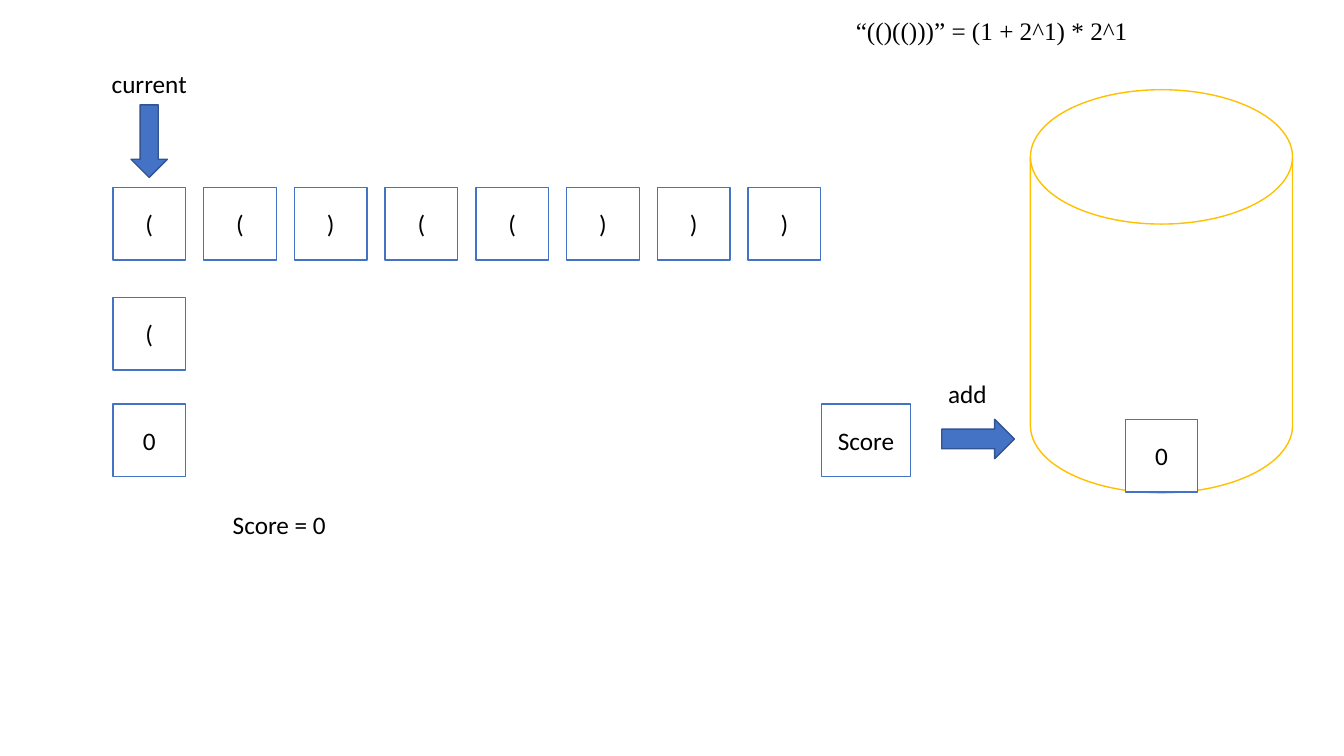
"""Build a slide showing a parentheses score computed with a stack."""
import pptx
import pptx.util
import pptx.dml.color
import pptx.enum.shapes
import pptx.enum.text

Inches = pptx.util.Inches
SHAPES = pptx.enum.shapes.MSO_SHAPE
ALIGN = pptx.enum.text.PP_ALIGN

COLORS = {"white": "FFFFFF", "black": "000000", "blue": "4472C4",
          "dark_blue": "325491", "gold": "FFC000"}

BRACKETS = "(()(()))"
BOX = 0.72
ROW_LEFT, ROW_TOP, ROW_STEP = 1.12, 1.86, 0.9
STACK = (10.22, 0.89, 2.6, 4)
ARROWS = [
    (SHAPES.DOWN_ARROW, (1.3, 1.04, 0.36, 0.72)),
    (SHAPES.RIGHT_ARROW, (9.34, 4.16, 0.72, 0.39)),
]
BOXES = [
    ("0", 11.16, 4.16, BOX),
    ("(", ROW_LEFT, 2.95, BOX),
    ("0", ROW_LEFT, 4.01, BOX),
    ("Score", 8.15, 4.01, 0.88),
]
LABELS = [
    ("current", (0.93, 0.63, 1.1, 0.4), ALIGN.CENTER, "Calibri"),
    ("“(()(()))” = (1 + 2^1) * 2^1", (8.39, 0.1, 3.13, 0.4), ALIGN.LEFT, "Times New Roman"),
    ("add", (9.18, 3.7, 0.83, 0.4), ALIGN.CENTER, "Calibri"),
    ("Score = 0", (2.21, 5, 2.55, 0.4), ALIGN.LEFT, "Calibri"),
]


def color(name):
    """Return the named colour."""
    return pptx.dml.color.RGBColor.from_string(COLORS[name])


def write(shape, text, align=ALIGN.CENTER, font_name="Calibri"):
    """Put one styled paragraph into a shape."""
    shape.text_frame.word_wrap = True
    paragraph = shape.text_frame.paragraphs[0]
    paragraph.text = text
    paragraph.alignment = align
    paragraph.font.size = pptx.util.Pt(18)
    paragraph.font.name = font_name
    paragraph.font.color.rgb = color("black")


def add_shape(kind, place, fill, line):
    """Add a filled, outlined shape without shadow."""
    shape = slide.shapes.add_shape(kind, *map(Inches, place))
    shape.shadow.inherit = False
    shape.fill.solid()
    shape.fill.fore_color.rgb = color(fill)
    shape.line.color.rgb = color(line)
    shape.line.width = pptx.util.Pt(1)
    return shape


def add_box(text, left, top, width):
    """Add a white box with centred text."""
    box = add_shape(SHAPES.RECTANGLE, (left, top, width, BOX), "white", "blue")
    box.text_frame.vertical_anchor = pptx.enum.text.MSO_ANCHOR.MIDDLE
    write(box, text)


presentation = pptx.Presentation()
presentation.slide_width = Inches(13.33)
presentation.slide_height = Inches(7.5)
slide = presentation.slides.add_slide(presentation.slide_layouts[6])

for index, bracket in enumerate(BRACKETS):
    add_box(bracket, ROW_LEFT + index * ROW_STEP, ROW_TOP, BOX)
add_shape(SHAPES.FLOWCHART_MAGNETIC_DISK, STACK, "white", "gold")
for kind, place in ARROWS:
    add_shape(kind, place, "blue", "dark_blue")
for box in BOXES:
    add_box(*box)
for text, place, align, font_name in LABELS:
    label = slide.shapes.add_textbox(*map(Inches, place))
    write(label, text, align, font_name)
    label.text_frame.auto_size = pptx.enum.text.MSO_AUTO_SIZE.SHAPE_TO_FIT_TEXT

presentation.save("out.pptx")
